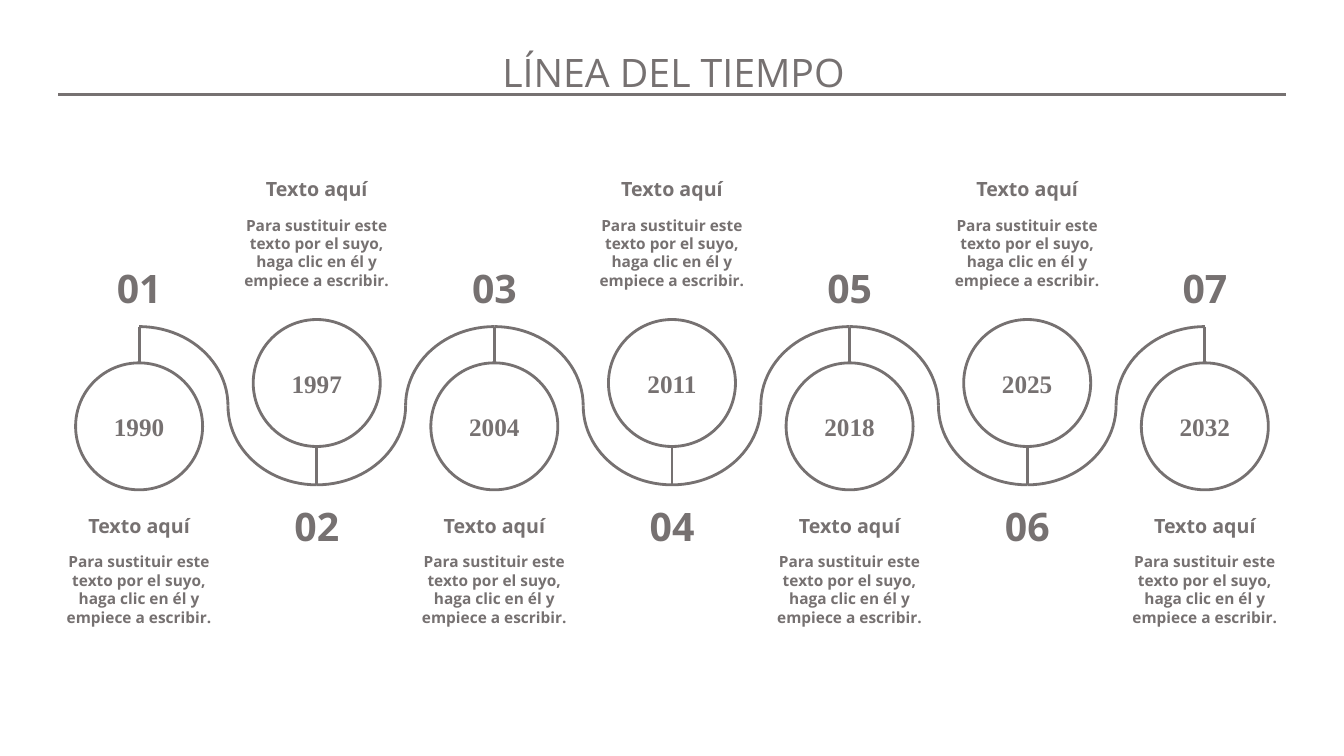
"""Builds a seven-step winding timeline slide."""
from lxml.etree import SubElement
from pptx import Presentation
from pptx.dml.color import RGBColor
from pptx.enum.shapes import MSO_CONNECTOR, MSO_SHAPE
from pptx.enum.text import MSO_AUTO_SIZE, PP_ALIGN
from pptx.oxml.ns import qn
from pptx.util import Inches, Pt

INK = {"gray": "767171", "white": "FFFFFF"}
GRAY, WHITE = (RGBColor.from_string(INK[name]) for name in ("gray", "white"))
YEARS = ["1990", "1997", "2004", "2011", "2018", "2025", "2032"]
HEAD = "Texto aquí"
BODY = "Para sustituir este texto por el suyo, haga clic en él y empiece a escribir."

deck = Presentation()
deck.slide_width, deck.slide_height = Inches(13.33), Inches(7.5)
slide = deck.slides.add_slide(deck.slide_layouts[6])
shapes = slide.shapes


def write(text, mid, top, wide, high, size, font="Open Sans", bold=True):
    box = shapes.add_textbox(*map(Inches, (mid - wide / 2, top, wide, high)))
    frame = box.text_frame
    frame.word_wrap = True
    frame.auto_size = MSO_AUTO_SIZE.SHAPE_TO_FIT_TEXT
    par = frame.paragraphs[0]
    par.alignment = PP_ALIGN.CENTER
    run = par.add_run()
    run.text = text
    run.font.name, run.font.size, run.font.bold = font, Pt(size), bold
    run.font.color.rgb = GRAY


def trace(item):
    item.line.color.rgb = GRAY
    item.line.width = Pt(2)
    if hasattr(item, "shadow"):
        item.shadow.inherit = False
    else:
        SubElement(item._element.spPr, qn("a:effectLst"))


FIRST, LAST = 1.38, 11.95
STEP = (LAST - FIRST) / (len(YEARS) - 1)
TOP, HIGH, DISC = 3.24, 1.57, 1.26
ROWS = [
    {"arcs": (180, 270), "stem": (TOP, 3.6), "disc": 3.6, "num": 2.57, "head": 5.05},
    {"arcs": (90, 0), "stem": (4.42, TOP + HIGH), "disc": 3.17, "num": 4.93, "head": 1.71},
]

for col, year in enumerate(YEARS):
    mid = FIRST + col * STEP
    row = ROWS[col % 2]
    left, right = row["arcs"]
    turns = [left] * (col > 0) + [right] * (col < len(YEARS) - 1)
    for turn in turns:
        arc = shapes.add_shape(
            MSO_SHAPE.ARC, *map(Inches, (mid - STEP / 2, TOP, STEP, HIGH)))
        arc.adjustments[0] = turn * 0.6
        arc.adjustments[1] = (turn + 90) % 360 * 0.6
        arc.fill.background()
        trace(arc)

    start, end = row["stem"]
    trace(shapes.add_connector(
        MSO_CONNECTOR.STRAIGHT, *map(Inches, (mid, start, mid, end))))

    disc = shapes.add_shape(
        MSO_SHAPE.OVAL, *map(Inches, (mid - DISC / 2, row["disc"], DISC, DISC)))
    disc.fill.solid()
    disc.fill.fore_color.rgb = WHITE
    trace(disc)

    write(f"{col + 1:02}", mid, row["num"], 1.05, 0.57, 28)
    write(year, mid, row["disc"] + 0.43, DISC, 0.4, 18, font="Times New Roman")
    write(HEAD, mid, row["head"], 1.67, 0.33, 14)
    write(BODY, mid, row["head"] + 0.38, 1.67, 0.83, 11)

write("LÍNEA DEL TIEMPO", 6.68, 0.43, 13.36, 0.57, 28, bold=False)
trace(shapes.add_connector(
    MSO_CONNECTOR.STRAIGHT, *map(Inches, (0.58, 0.94, 12.75, 0.94))))

deck.save("out.pptx")
